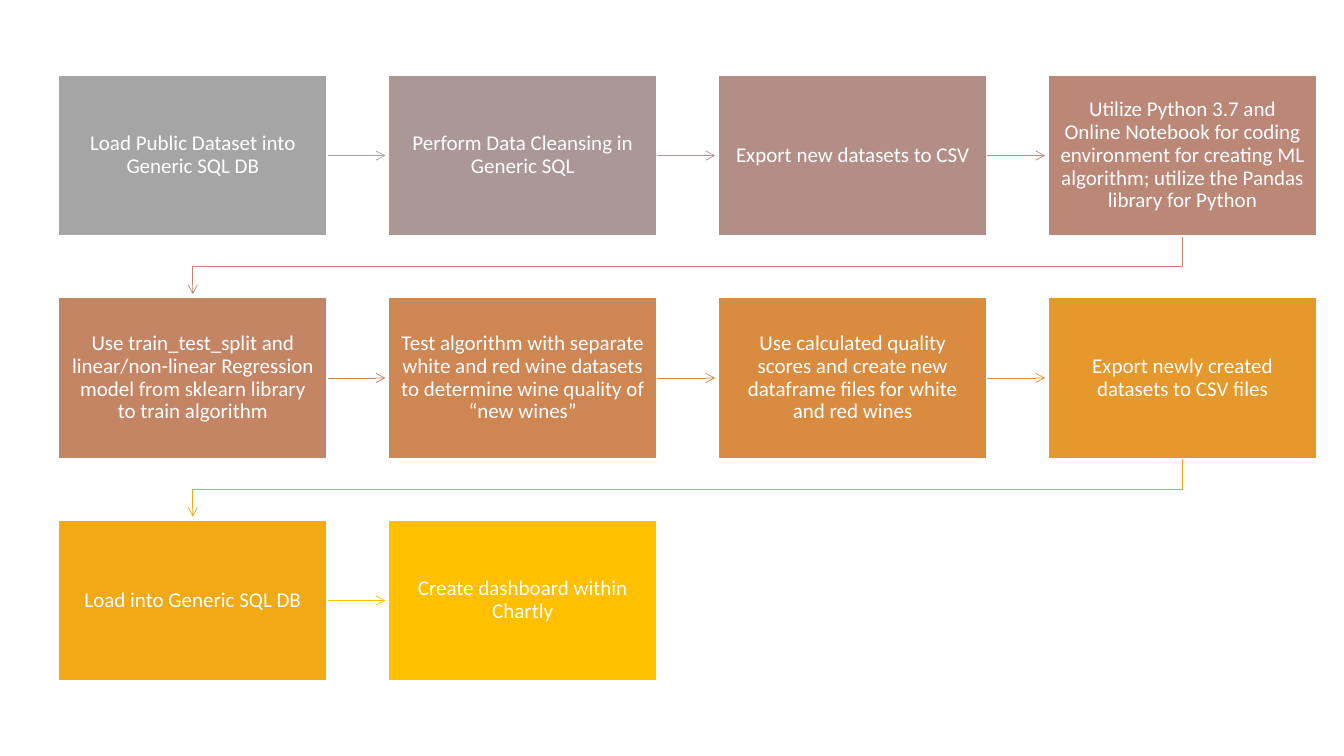
from colorsys import hls_to_rgb
from dataclasses import dataclass

from lxml.etree import SubElement as Sub
from pptx import Presentation
from pptx.dml.color import RGBColor as RGB
from pptx.enum.shapes import MSO_CONNECTOR as Link, MSO_SHAPE as Shape
from pptx.enum.text import MSO_ANCHOR as Anchor, PP_ALIGN as Align
from pptx.oxml.ns import qn
from pptx.util import Cm, Pt


@dataclass(frozen=True)
class Theme:
    font: str = "Calibri"
    size: float = 15
    text: RGB = RGB(255, 255, 255)
    wire: float = 0.5
    edge: float = 1

    def blend(self, part):
        """Shade between grey (0) and gold (1), by hue, light and saturation."""
        tone = hls_to_rgb(part * 0.1255, 0.647 - 0.147 * part, part)
        return RGB(*(round(255 * c) for c in tone))


THEME = Theme()
COLS = 4
WIDE, HIGH = 6.76, 4.06
STEPS = [
    "Load Public Dataset into Generic SQL DB",
    "Perform Data Cleansing in Generic SQL",
    "Export new datasets to CSV",
    "Utilize Python 3.7 and Online Notebook for coding environment for "
    "creating ML algorithm; utilize the Pandas library for Python",
    "Use train_test_split and linear/non-linear Regression model from "
    "sklearn library to train algorithm",
    "Test algorithm with separate white and red wine datasets to determine "
    "wine quality of “new wines”",
    "Use calculated quality scores and create new dataframe files for white "
    "and red wines",
    "Export newly created datasets to CSV files",
    "Load into Generic SQL DB",
    "Create dashboard within Chartly",
]


def add_step(slide, left, top, text, color):
    """One filled box with centred text."""
    box = slide.shapes.add_shape(
        Shape.RECTANGLE, Cm(left), Cm(top), Cm(WIDE), Cm(HIGH))
    box.shadow.inherit = False
    box.fill.solid()
    box.fill.fore_color.rgb = color
    box.line.color.rgb = THEME.text
    box.line.width = Pt(THEME.edge)
    frame = box.text_frame
    frame.text = text
    frame.word_wrap = True
    frame.vertical_anchor = Anchor.MIDDLE
    frame.margin_left = frame.margin_right = Cm(0.3)
    frame.margin_top = frame.margin_bottom = Cm(0.3)
    para = frame.paragraphs[0]
    para.alignment = Align.CENTER
    para.line_spacing = 0.9
    font = para.runs[0].font
    font.name, font.size = THEME.font, Pt(THEME.size)
    font.color.rgb = THEME.text


def add_arrow(slide, spots, color):
    """Arrow through the spots: straight for two, bent for more."""
    spots = [(Cm(x), Cm(y)) for x, y in spots]
    if len(spots) == 2:
        wire = slide.shapes.add_connector(
            Link.STRAIGHT, *spots[0], *spots[1])
        Sub(wire.element.spPr, qn("a:effectLst"))
    else:
        pen = slide.shapes.build_freeform(*spots[0])
        pen.add_line_segments(spots[1:], close=False)
        wire = pen.convert_to_shape()
        wire.fill.background()
        wire.shadow.inherit = False
    wire.line.color.rgb = color
    wire.line.width = Pt(THEME.wire)
    Sub(wire.element.spPr.find(qn("a:ln")), qn("a:tailEnd"), type="arrow")


def add_flow(slide, left, top, wide, high):
    """Grid of steps filling the box, each joined to the next."""
    rows = -(-len(STEPS) // COLS)
    gap_x = (wide - COLS * WIDE) / (COLS - 1)
    gap_y = (high - rows * HIGH) / (rows - 1)
    trim = 0.08
    last = len(STEPS) - 1
    for i, text in enumerate(STEPS):
        row, col = divmod(i, COLS)
        x = left + col * (WIDE + gap_x)
        y = top + row * (HIGH + gap_y)
        # Arrow to the next step
        if i < last:
            if col < COLS - 1:
                mid = y + HIGH / 2
                spots = [(x + WIDE, mid), (x + WIDE + gap_x - trim, mid)]
            else:
                start, end = x + WIDE / 2, left + WIDE / 2
                base = y + HIGH
                turn = base + gap_y / 2
                spots = [(start, base), (start, turn), (end, turn),
                         (end, base + gap_y - trim)]
            add_arrow(slide, spots, THEME.blend(i / (last - 1)))
        # Step box
        add_step(slide, x, y, text, THEME.blend(i / last))


deck = Presentation()
deck.slide_width, deck.slide_height = Cm(33.87), Cm(19.05)
page = deck.slides.add_slide(deck.slide_layouts[6])
add_flow(page, left=1.48, top=1.89, wide=31.7, high=15.27)
deck.save("out.pptx")
